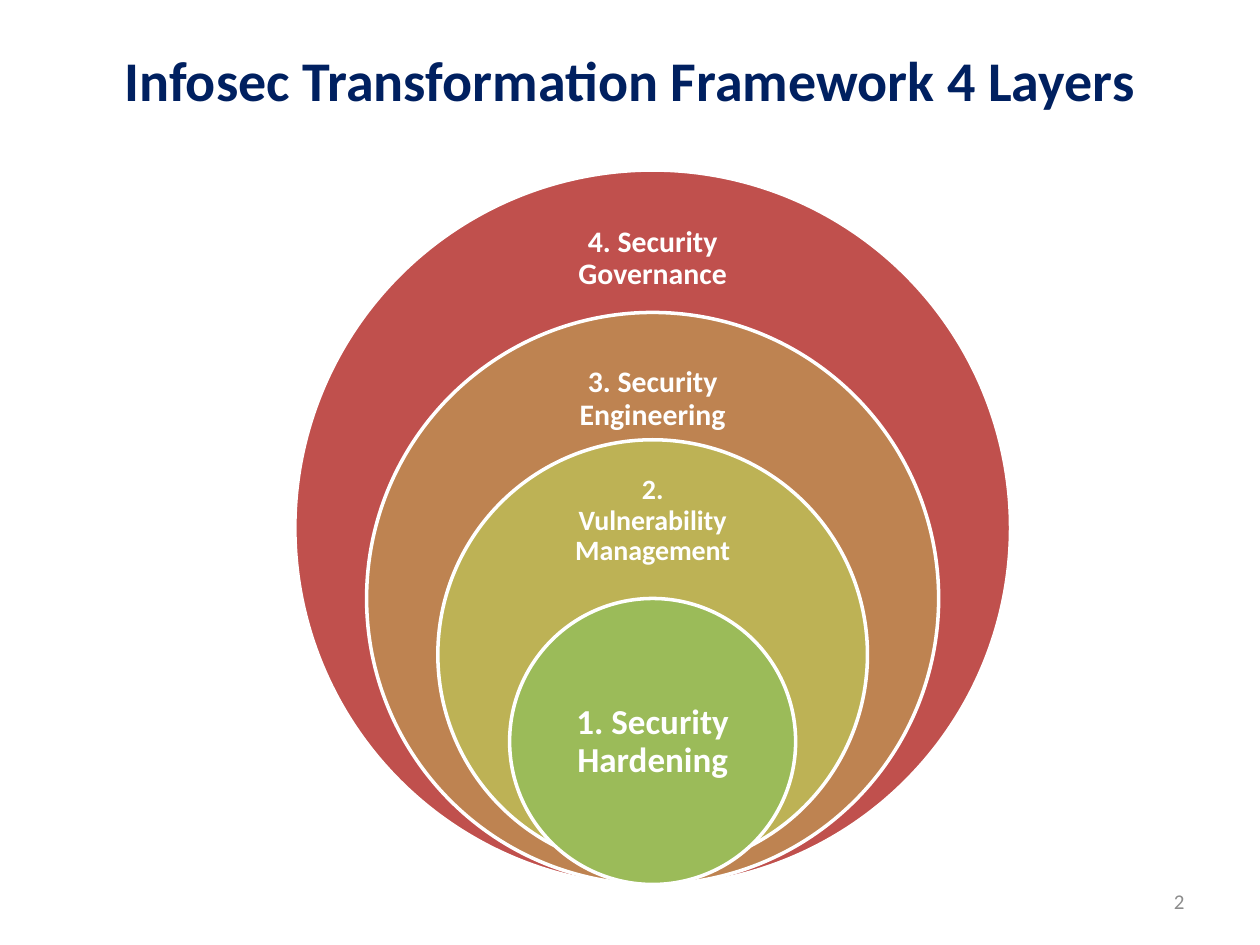
from pptx import Presentation
from pptx.dml.color import RGBColor
from pptx.enum.shapes import MSO_SHAPE as Shape
from pptx.enum.text import MSO_ANCHOR as Anchor, PP_ALIGN as Align
from pptx.util import Inches, Pt


def color(hex_string):
    return RGBColor.from_string(hex_string)


def add_text(text, left, top, width, height, size=17, fill="FFFFFF", bold=True,
             align=Align.CENTER, inset_x=0.1, inset_y=0.05, line_spacing=1.0):
    box = slide.shapes.add_textbox(Inches(left), Inches(top), Inches(width), Inches(height))
    frame = box.text_frame
    frame.word_wrap = True
    frame.vertical_anchor = Anchor.MIDDLE
    frame.margin_left = frame.margin_right = Inches(inset_x)
    frame.margin_top = frame.margin_bottom = Inches(inset_y)
    paragraph = frame.paragraphs[0]
    paragraph.text = text
    paragraph.alignment = align
    paragraph.line_spacing = line_spacing
    font = paragraph.font
    font.name, font.size, font.bold = "Calibri", Pt(size), bold
    font.color.rgb = color(fill)


presentation = Presentation()
presentation.slide_width, presentation.slide_height = Inches(10), Inches(7.5)
slide = presentation.slides.add_slide(presentation.slide_layouts[6])

# Slide number and title
add_text("2", 7.17, 6.95, 2.33, 0.4, size=12, fill="8C8C8C", bold=False, align=Align.RIGHT)
add_text("Infosec Transformation Framework 4 Layers", 0.5, 0.14, 9, 0.98,
         size=32, fill="002060")

# Nested layers, outermost first, all centred on one vertical axis
center_x = 5.18
layers = [
    # name, circle top, diameter, fill, label top, width, height, inset, size
    ("4. Security Governance", 1.35, 5.68, "C0504D", 1.63, 1.59, 0.85, 0.13, 17),
    ("3. Security Engineering", 2.48, 4.54, "BE8351", 2.76, 1.59, 0.82, 0.13, 17),
    ("2. Vulnerability Management", 3.49, 3.41, "BDB255", 3.75, 1.59, 0.77, 0.12, 16),
    ("1. Security Hardening", 4.75, 2.27, "9BBB59", 5.32, 1.61, 1.14, 0.16, 20),
]
for name, top, diameter, fill, label_top, width, height, inset, size in layers:
    circle = slide.shapes.add_shape(Shape.OVAL, Inches(center_x - diameter / 2), Inches(top),
                                    Inches(diameter), Inches(diameter))
    circle.shadow.inherit = False
    circle.fill.solid()
    circle.fill.fore_color.rgb = color(fill)
    circle.line.color.rgb = color("FFFFFF")
    circle.line.width = Pt(2)
    add_text(name, center_x - width / 2, label_top, width, height, size=size,
             inset_x=inset, inset_y=inset, line_spacing=0.9)

presentation.save("out.pptx")
